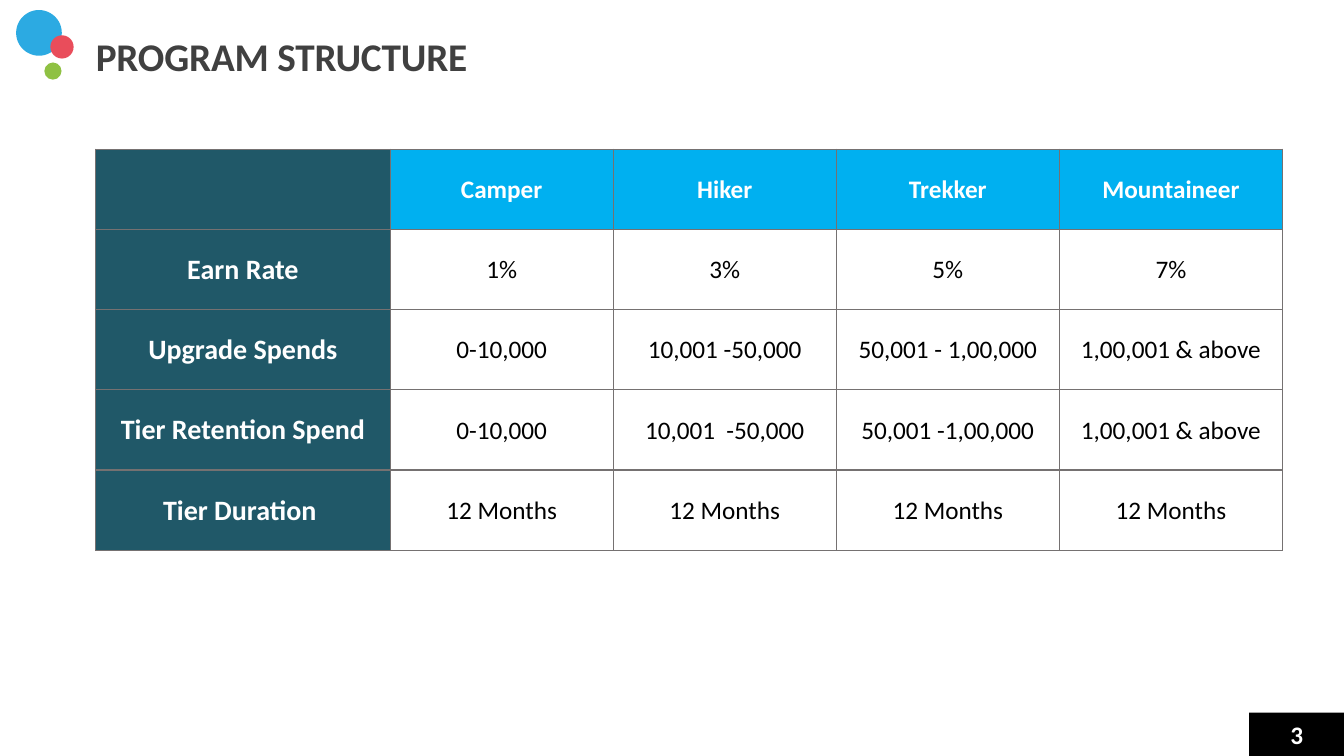
"""Build the Program Structure slide with its loyalty tier table."""
from typing import Any, NamedTuple

from lxml import etree
from pptx import Presentation
from pptx.dml.color import RGBColor
from pptx.enum.shapes import MSO_SHAPE
from pptx.enum.text import MSO_ANCHOR, MSO_AUTO_SIZE, PP_ALIGN
from pptx.oxml.ns import qn
from pptx.util import Inches, Pt

OVAL, RECT = MSO_SHAPE.OVAL, MSO_SHAPE.RECTANGLE
MIDDLE = MSO_ANCHOR.MIDDLE
LEFT, CENTER = PP_ALIGN.LEFT, PP_ALIGN.CENTER
FIT_SHAPE = MSO_AUTO_SIZE.SHAPE_TO_FIT_TEXT
TITLE_ONLY = 5

SLIDE_W, SLIDE_H = Inches(13.33), Inches(7.5)
FONT = "Calibri"
COLORS = {
    "blue": "2CAAE2", "red": "E94D5B", "green": "8FC143", "black": "000000",
    "white": "FFFFFF", "title": "404040", "label": "205868",
    "tier": "00B0F0", "border": "757171",
}


class Box(NamedTuple):
    """Position and size in percent of the slide's width and height."""
    left: float
    top: float
    width: float
    height: float


class Dot(NamedTuple):
    """Circle whose diameter is in percent of the slide's width."""
    left: float
    top: float
    diameter: float
    color: str


class Style(NamedTuple):
    """Text size, weight, colour and alignment."""
    size: int
    bold: bool
    color: str
    align: Any = CENTER


DOTS = [
    Dot(1.2, 1.33, 3.4, "blue"),
    Dot(3.75, 4.67, 1.73, "red"),
    Dot(3.3, 8.27, 1.28, "green"),
]
TITLE_BOX = Box(7.13, 4, 32.11, 6.53)
PAGE_BOX = Box(92.95, 94.27, 7.05, 5.73)
TABLE_BOX = Box(7.13, 19.73, 88.3, 53.07)
LABEL_W = 21.9

TITLE = Style(28, True, "title", LEFT)
HEADER = Style(18, True, "white")
LABEL = Style(20, True, "white")
VALUE = Style(18, False, "black")

ROWS = [
    ["", "Camper", "Hiker", "Trekker", "Mountaineer"],
    ["Earn Rate", "1%", "3%", "5%", "7%"],
    ["Upgrade Spends", "0-10,000", "10,001 -50,000", "50,001 - 1,00,000", "1,00,001 & above"],
    ["Tier Retention Spend", "0-10,000", "10,001  -50,000", "50,001 -1,00,000", "1,00,001 & above"],
    ["Tier Duration ", *["12 Months"] * 4],
]


def across(percent: float) -> int:
    return int(SLIDE_W * percent / 100)


def down(percent: float) -> int:
    return int(SLIDE_H * percent / 100)


def place(box: Box) -> tuple[int, int, int, int]:
    return across(box.left), down(box.top), across(box.width), down(box.height)


def rgb(name: str) -> RGBColor:
    return RGBColor.from_string(COLORS[name])


def apply(target: Any, values: dict[str, Any]) -> None:
    for name, value in values.items():
        setattr(target, name, value)


def write(tf: Any, text: str, style: Style) -> Any:
    p = tf.paragraphs[0]
    p.alignment = style.align
    r = p.add_run()
    r.text = text
    apply(r.font, {"name": FONT, "size": Pt(style.size), "bold": style.bold})
    r.font.color.rgb = rgb(style.color)
    return r


def add_filled(slide: Any, kind: Any, at: tuple[int, int, int, int], color: str) -> Any:
    sp = slide.shapes.add_shape(kind, *at)
    sp.shadow.inherit = False
    sp.fill.solid()
    sp.fill.fore_color.rgb = rgb(color)
    sp.line.fill.background()
    return sp


def add_title(slide: Any) -> None:
    sp = slide.shapes.title
    names = ("left", "top", "width", "height")
    apply(sp, dict(zip(names, place(TITLE_BOX))))
    tf = sp.text_frame
    apply(tf, {
        "margin_left": 0, "margin_right": 0, "margin_top": Inches(0.01),
        "margin_bottom": 0, "vertical_anchor": MIDDLE, "word_wrap": True,
        "auto_size": FIT_SHAPE,
    })
    r = write(tf, "PROGRAM STRUCTURE", TITLE)
    r.font._element.set("spc", "-10")
    tf.paragraphs[0].space_before = Pt(1)


def add_borders(cell: Any) -> None:
    tc_pr = cell._tc.get_or_add_tcPr()
    for i, side in enumerate(("lnL", "lnR", "lnT", "lnB")):
        ln = etree.Element(qn(f"a:{side}"), w=str(Pt(1)))
        fill = etree.SubElement(ln, qn("a:solidFill"))
        etree.SubElement(fill, qn("a:srgbClr"), val=COLORS["border"])
        tc_pr.insert(i, ln)


def fill_cell(cell: Any, text: str, style: Style, color: str | None) -> None:
    edge = Inches(0.01)
    apply(cell, {
        "margin_left": edge, "margin_right": edge, "margin_top": edge,
        "margin_bottom": 0, "vertical_anchor": MIDDLE,
    })
    if color:
        cell.fill.solid()
        cell.fill.fore_color.rgb = rgb(color)
    else:
        cell.fill.background()
    add_borders(cell)
    if text:
        write(cell.text_frame, text, style)


def cell_look(row: int, col: int) -> tuple[Style, str | None]:
    if col == 0:
        return LABEL, "label"
    return (HEADER, "tier") if row == 0 else (VALUE, None)


def add_tiers(slide: Any) -> None:
    n_rows, n_cols = len(ROWS), len(ROWS[0])
    table = slide.shapes.add_table(n_rows, n_cols, *place(TABLE_BOX)).table
    table.horz_banding = False
    tier_w = (TABLE_BOX.width - LABEL_W) / (n_cols - 1)
    for i, column in enumerate(table.columns):
        column.width = across(tier_w if i else LABEL_W)
    for i, texts in enumerate(ROWS):
        table.rows[i].height = down(TABLE_BOX.height / n_rows)
        for j, text in enumerate(texts):
            fill_cell(table.cell(i, j), text, *cell_look(i, j))


def main() -> None:
    prs = Presentation()
    apply(prs, {"slide_width": SLIDE_W, "slide_height": SLIDE_H})
    slide = prs.slides.add_slide(prs.slide_layouts[TITLE_ONLY])
    for dot in DOTS:
        size = across(dot.diameter)
        add_filled(slide, OVAL, (across(dot.left), down(dot.top), size, size), dot.color)
    page = add_filled(slide, RECT, place(PAGE_BOX), "black")
    page.text_frame.vertical_anchor = MIDDLE
    write(page.text_frame, "3", HEADER)
    add_title(slide)
    add_tiers(slide)
    prs.save("out.pptx")


if __name__ == "__main__":
    main()
